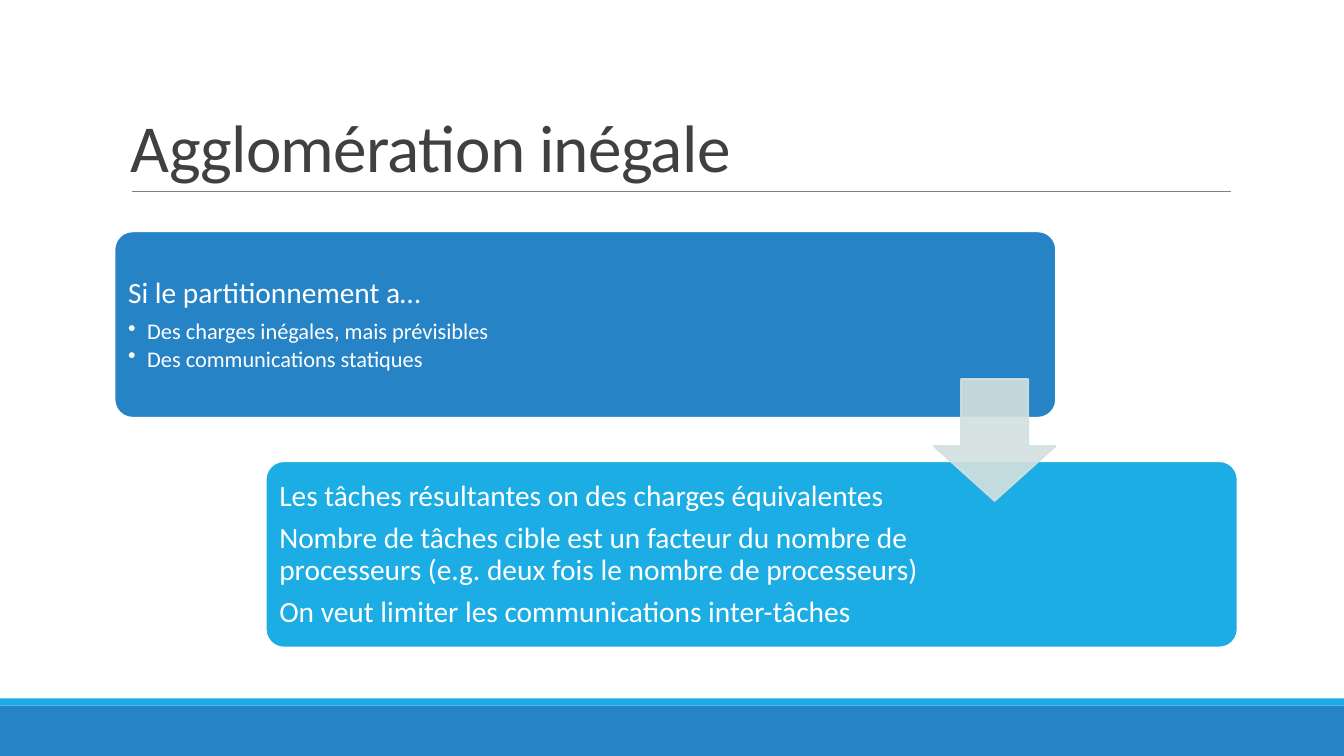
"""Build the slide on uneven agglomeration."""
from dataclasses import dataclass

from lxml.etree import SubElement
from pptx import Presentation
from pptx.dml.color import RGBColor
from pptx.enum.shapes import MSO_CONNECTOR as Connector, MSO_SHAPE as Preset
from pptx.enum.text import MSO_ANCHOR as Anchor, PP_ALIGN as Align
from pptx.oxml.ns import qn
from pptx.shapes.autoshape import Shape
from pptx.slide import Slide
from pptx.util import Emu, Pt

PX = 9144
FONT = "Calibri"
BLUE, CYAN, PALE = "2683C6", "1CADE4", "D3E0DF"
WHITE, GREY, DARK = "FFFFFF", "808080", "404040"


@dataclass(frozen=True)
class Area:
    """A rectangle in px."""
    left: int
    top: int
    width: int
    height: int

    def emu(self) -> list[Emu]:
        """Return the rectangle in EMU."""
        return [px(n) for n in (self.left, self.top, self.width, self.height)]


@dataclass(frozen=True)
class Figure:
    """A filled preset shape."""
    preset: Preset
    area: Area
    fill: str
    line: str | None = None
    weight: float = 0
    adjustments: tuple[float, ...] = ()
    opacity: int = 100


@dataclass(frozen=True)
class Style:
    """The look of a paragraph."""
    size: int
    color: str
    line_spacing: float = 0.9
    after: float = 0
    indent: int = 0
    tracking: int = 0


@dataclass(frozen=True)
class Caption:
    """A text box with its paragraphs."""
    area: Area
    lines: tuple[tuple[str, Style], ...]
    anchor: Anchor = Anchor.MIDDLE
    insets: tuple[int, int, int, int] = (9, 9, 9, 9)


TITLE = Style(48, DARK, 0.85, tracking=-50)
LEAD = Style(21, WHITE, after=7.35)
BULLET = Style(16, WHITE, after=2.4, indent=19)

BANDS = (
    Figure(Preset.RECTANGLE, Area(0, 700, 1333, 50), BLUE),
    Figure(Preset.RECTANGLE, Area(0, 693, 1333, 7), CYAN),
)
CARDS = tuple(
    Figure(Preset.ROUNDED_RECTANGLE, area, fill, WHITE, 2, (0.1,))
    for area, fill in ((Area(113, 229, 935, 186), BLUE), (Area(263, 457, 965, 186), CYAN))
)
ARROW = Figure(Preset.DOWN_ARROW, Area(926, 376, 121, 121), PALE, PALE, 1.25, (0.55, 0.45), 90)
CAPTIONS = (
    Caption(Area(120, 31, 1100, 159), (("Agglomération inégale", TITLE),),
            Anchor.BOTTOM, (10, 5, 10, 5)),
    Caption(Area(118, 235, 742, 175), (
        ("Si le partitionnement a…", LEAD),
        ("Des charges inégales, mais prévisibles", BULLET),
        ("Des communications statiques", BULLET),
    )),
    Caption(Area(268, 463, 658, 175), (
        ("Les tâches résultantes on des charges équivalentes", LEAD),
        ("Nombre de tâches cible est un facteur du nombre de processeurs "
         "(e.g. deux fois le nombre de processeurs)", LEAD),
        ("On veut limiter les communications inter-tâches", LEAD),
    ), insets=(9, 9, 0, 9)),
)


def px(length: int) -> Emu:
    """Turn px into EMU."""
    return Emu(length * PX)


def rgb(value: str) -> RGBColor:
    """Turn a hex string into a colour."""
    return RGBColor.from_string(value)


def assign(target: object, values: dict[str, object]) -> None:
    """Set each named attribute on the target."""
    for name, value in values.items():
        setattr(target, name, value)


def draw_figure(page: Slide, figure: Figure) -> Shape:
    """Draw a preset shape with its fill and outline."""
    shape = page.shapes.add_shape(figure.preset, *figure.area.emu())
    shape.shadow.inherit = False
    for index, value in enumerate(figure.adjustments):
        shape.adjustments[index] = value
    shape.fill.solid()
    shape.fill.fore_color.rgb = rgb(figure.fill)
    if figure.line:
        shape.line.color.rgb = rgb(figure.line)
        shape.line.width = Pt(figure.weight)
    else:
        shape.line.fill.background()
    if figure.opacity < 100:
        for color in shape.element.spPr.iter(qn("a:srgbClr")):
            SubElement(color, qn("a:alpha"), val=str(figure.opacity * 1000))
    return shape


def draw_rule(page: Slide) -> None:
    """Draw the line below the title."""
    rule = page.shapes.add_connector(Connector.STRAIGHT, px(131), px(190), px(1221), px(190))
    rule.line.color.rgb = rgb(GREY)
    rule.line.width = Pt(0.5)
    SubElement(rule.element.spPr, qn("a:effectLst"))


def draw_caption(page: Slide, caption: Caption) -> None:
    """Draw a text box and style its paragraphs."""
    frame = page.shapes.add_textbox(*caption.area.emu()).text_frame
    left, top, right, bottom = map(px, caption.insets)
    assign(frame, {
        "word_wrap": True, "vertical_anchor": caption.anchor,
        "margin_left": left, "margin_top": top,
        "margin_right": right, "margin_bottom": bottom,
    })
    for index, (words, style) in enumerate(caption.lines):
        para = frame.add_paragraph() if index else frame.paragraphs[0]
        assign(para, {
            "alignment": Align.LEFT, "line_spacing": style.line_spacing,
            "space_before": Pt(0), "space_after": Pt(style.after),
            "level": 1 if style.indent else 0,
        })
        if style.indent:
            properties = para._p.get_or_add_pPr()
            properties.set("marL", str(px(style.indent)))
            properties.set("indent", str(px(-style.indent)))
            SubElement(properties, qn("a:buChar"), char="•")
        span = para.add_run()
        span.text = words
        assign(span.font, {"name": FONT, "size": Pt(style.size)})
        span.font.color.rgb = rgb(style.color)
        if style.tracking:
            span.font._element.set("spc", str(style.tracking))


def main() -> None:
    """Build and save the deck."""
    deck = Presentation()
    assign(deck, {"slide_width": px(1333), "slide_height": px(750)})
    page = deck.slides.add_slide(deck.slide_layouts[6])
    for figure in BANDS + CARDS:
        draw_figure(page, figure)
    draw_rule(page)
    for caption in CAPTIONS:
        draw_caption(page, caption)
    draw_figure(page, ARROW)
    deck.save("out.pptx")


if __name__ == "__main__":
    main()
